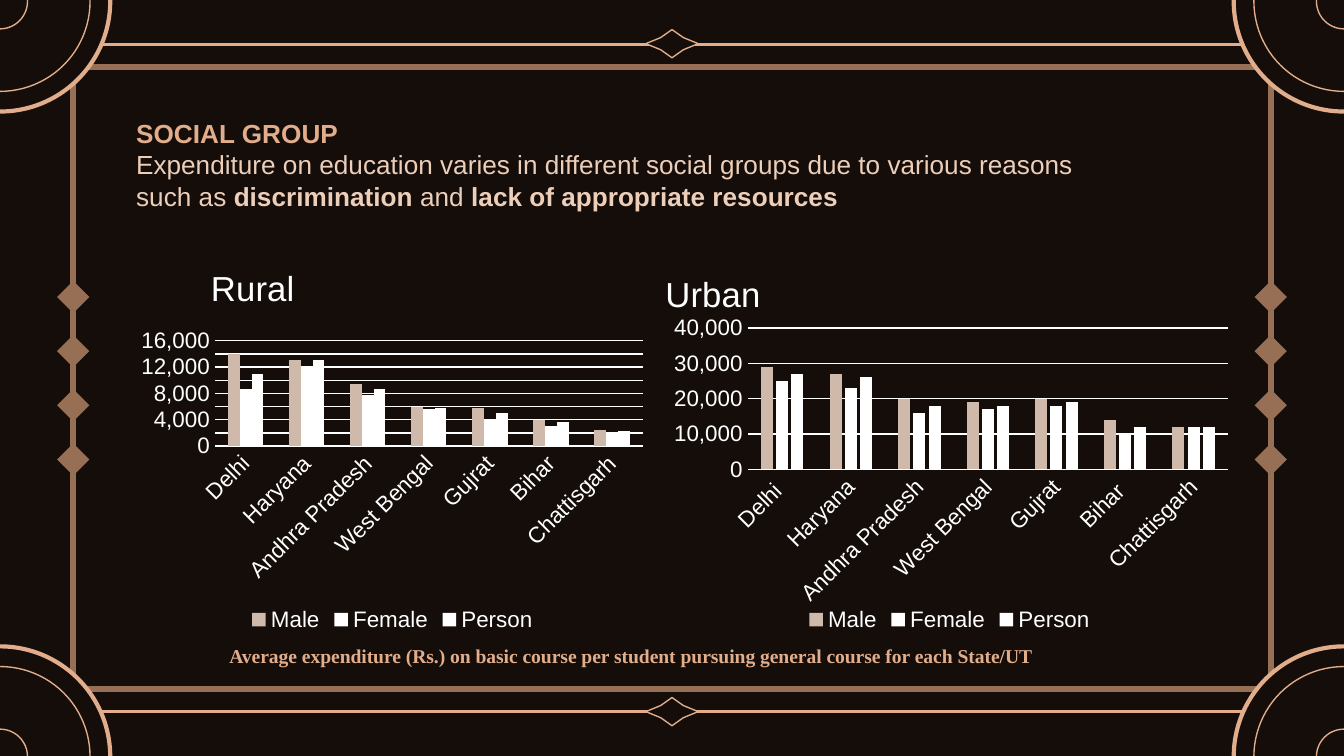
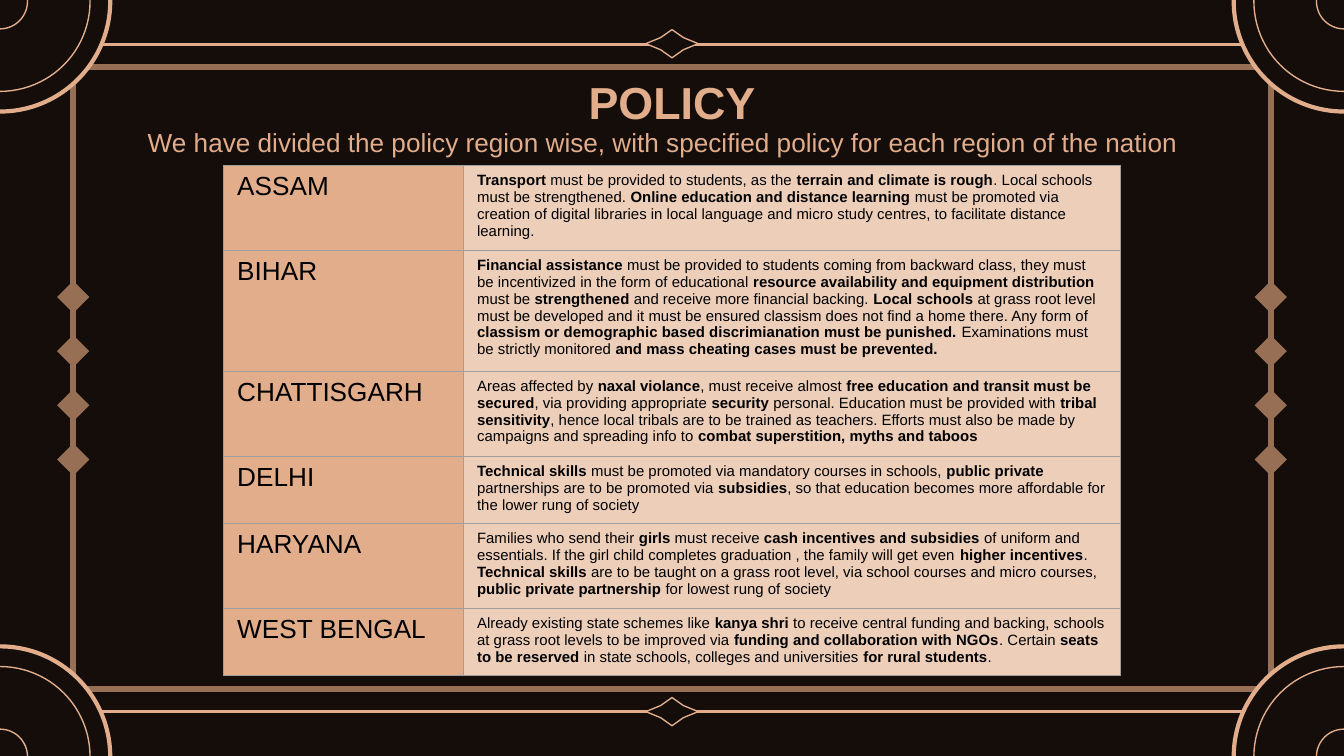
from dataclasses import dataclass
from itertools import product
from typing import NamedTuple, Optional

from lxml.etree import SubElement
from pptx import Presentation
from pptx.chart.data import CategoryChartData as ChartData
from pptx.dml.color import RGBColor as RGB
from pptx.enum.chart import XL_CHART_TYPE as Kind
from pptx.enum.chart import XL_LEGEND_POSITION as Legend
from pptx.enum.chart import XL_TICK_MARK as Tick
from pptx.enum.shapes import MSO_CONNECTOR as Link
from pptx.enum.shapes import MSO_SHAPE as Form
from pptx.enum.text import MSO_ANCHOR as Anchor
from pptx.enum.text import MSO_AUTO_SIZE as Fit
from pptx.enum.text import PP_ALIGN as Align
from pptx.oxml import parse_xml
from pptx.oxml.ns import nsdecls, qn
from pptx.util import Emu, Inches, Pt

# The slide is a grid of 100 columns and 56.25 rows of square cells.
WIDTH, HEIGHT = Inches(10), Inches(5.625)
CELL = WIDTH / 100


@dataclass(frozen=True)
class Theme:
    dark: str = "140D0A"
    peach: str = "E1AD8B"
    cream: str = "EDCEB9"
    brown: str = "966F55"
    sand: str = "CFB9AB"
    white: str = "FFFFFF"
    black: str = "000000"
    rule: str = "9E9E9E"
    sans: str = "Arial"
    serif: str = "Times New Roman"
    title: float = 24
    head: float = 18.6
    lead: float = 14
    label: float = 12
    note: float = 10.5
    small: float = 8


T = Theme()


class Box(NamedTuple):
    x: float
    y: float
    w: float
    h: float

    def emu(self) -> list[Emu]:
        return [cells(n) for n in self]


class Style(NamedTuple):
    size: float
    color: str
    bold: bool = False
    font: str = T.sans


class Rail(NamedTuple):
    x1: float
    y1: float
    x2: float
    y2: float
    color: str
    width: float


class Ring(NamedTuple):
    size: float
    width: float
    fill: Optional[str]


class Graph(NamedTuple):
    name: str
    box: Box
    head: tuple[float, float]   # shares of the chart
    plot: tuple[float, float, float, float]
    top: int
    step: int
    overlap: int
    states: list[str]
    data: dict[str, list[int]]


class Region(NamedTuple):
    name: str
    lines: int
    plan: str   # bold between asterisks


RAILS = [
    Rail(7.5, 3.3, 92.5, 3.3, T.peach, 1.5),
    Rail(6.3, 5, 93.7, 5, T.brown, 3),
    Rail(6.3, 51.25, 93.7, 51.25, T.brown, 3),
    Rail(94.55, 6, 94.55, 50.3, T.brown, 3),
    Rail(5.45, 6, 5.45, 50.3, T.brown, 3),
    Rail(7.5, 52.93, 92.5, 52.93, T.peach, 1.5),
]
RINGS = [Ring(16.4, 2.25, T.dark), Ring(13.4, 0.75, None), Ring(4.1, 0.75, T.dark)]

STATES = ["Delhi", "Haryana", "Andhra Pradesh", "West Bengal", "Gujrat", "Bihar", "Chattisgarh"]
SPACED = [f"{name} " if name in ("Delhi", "Bihar") else name for name in STATES]
TINTS = [T.sand, T.white, T.white]
GRAPHS = [
    Graph("Rural", Box(9.8, 18.4, 38.8, 29), (0.14, 0.03), (0.16, 0.24, 0.82, 0.27),
          16000, 2000, 0, STATES, {
              "Male": [14000, 13000, 9500, 6000, 5800, 4000, 2500],
              "Female": [8700, 12000, 7700, 5600, 4100, 3000, 2100],
              "Person": [11000, 13000, 8700, 5800, 5000, 3600, 2300]}),
    Graph("Urban", Box(48.6, 19.7, 44.1, 27.7), (0.01, 0), (0.16, 0.17, 0.81, 0.38),
          40000, 10000, -27, SPACED, {
              "Male": [29000, 27000, 20000, 19000, 20000, 14000, 12000],
              "Female": [25000, 23000, 16000, 17000, 18000, 10000, 12000],
              "Person": [27000, 26000, 18000, 18000, 19000, 12000, 12000]}),
]

REGIONS = [
    Region("ASSAM", 4, "*Transport* must be provided to students, as the *terrain and climate is rough*. "
           "Local schools must be strengthened. *Online education and distance learning *must be promoted "
           "via creation of digital libraries in local language and micro study centres, to facilitate "
           "distance learning."),
    Region("BIHAR", 6, "*Financial assistance *must be provided to students coming from backward class, they "
           "must be incentivized in the form of educational *resource availability and equipment "
           "distribution *must be *strengthened* and receive more financial backing. *Local schools *at "
           "grass root level must be developed and it must be ensured classism does not find a home there. "
           "Any form of *classism or demographic based discrimianation must be punished. *Examinations "
           "must be strictly monitored *and mass cheating cases must be prevented.*"),
    Region("CHATTISGARH", 4, "Areas affected by *naxal violance*, must receive almost *free education and "
           "transit must be secured*, via providing appropriate *security *personal. Education must be "
           "provided with *tribal sensitivity*, hence local tribals are to be trained as teachers. Efforts "
           "must also be made by campaigns and spreading info to *combat superstition, myths and taboos*"),
    Region("DELHI", 3, "*Technical skills *must be promoted via mandatory courses in schools, *public "
           "private *partnerships are to be promoted via *subsidies*, so that education becomes more "
           "affordable for the lower rung of society"),
    Region("HARYANA", 4, "Families who send their *girls* must receive *cash incentives and subsidies *of "
           "uniform and essentials. If the girl child completes graduation , the family will get even "
           "*higher incentives*. *Technical skills *are to be taught on a grass root level, via school "
           "courses and micro courses, *public private partnership *for lowest rung of society"),
    Region("WEST BENGAL", 3, "Already existing state schemes like *kanya shri *to receive central funding "
           "and backing, schools at grass root levels to be improved via *funding and collaboration with "
           "NGOs*. Certain *seats to be reserved *in state schools, colleges and universities* for rural "
           "students*."),
]


def cells(n: float) -> Emu:
    return Emu(round(n * CELL))


def dress(font, style: Style) -> None:
    font.size, font.bold, font.name = Pt(style.size), style.bold, style.font
    font.color.rgb = RGB.from_string(style.color)


def write(para, text: str, style: Style) -> None:
    """Fill a paragraph; asterisks switch bold on and off."""
    for i, part in enumerate(text.split("*")):
        if part:
            run = para.add_run()
            run.text = part
            dress(run.font, style._replace(bold=style.bold or i % 2 == 1))


def block(shape, box: Box, paras: list[tuple[str, Style]], align=Align.LEFT) -> None:
    """Place a text shape and fill it."""
    shape.left, shape.top, shape.width, shape.height = box.emu()
    frame = shape.text_frame
    frame.word_wrap, frame.vertical_anchor = True, Anchor.TOP
    frame.auto_size = Fit.SHAPE_TO_FIT_TEXT
    for i, (text, style) in enumerate(paras):
        para = frame.add_paragraph() if i else frame.paragraphs[0]
        para.alignment = align
        write(para, text, style)


def note(slide, box: Box, text: str, style: Style) -> None:
    block(slide.shapes.add_textbox(*box.emu()), box, [(text, style)])


def mark(slide, form, mid: tuple[float, float], size: tuple[float, float],
         fill: Optional[str], line: Optional[str] = None, width: float = 0.75):
    """Draw a preset shape around its centre."""
    box = Box(mid[0] - size[0] / 2, mid[1] - size[1] / 2, *size)
    shape = slide.shapes.add_shape(form, *box.emu())
    shape.shadow.inherit = False
    if fill:
        shape.fill.solid()
        shape.fill.fore_color.rgb = RGB.from_string(fill)
    else:
        shape.fill.background()
    if line:
        shape.line.color.rgb, shape.line.width = RGB.from_string(line), Pt(width)
    else:
        shape.line.fill.background()
    return shape


def frame(slide) -> None:
    for rail in RAILS:
        link = slide.shapes.add_connector(Link.STRAIGHT, *[cells(n) for n in rail[:4]])
        link.line.color.rgb, link.line.width = RGB.from_string(rail.color), Pt(rail.width)
        SubElement(link.element.spPr, qn("a:effectLst"))
    for y, x, ring in product((0.1, 56.3), (0, 100), RINGS):
        mark(slide, Form.OVAL, (x, y), (ring.size, ring.size), ring.fill, T.peach, ring.width)
    for x, row in product((5.45, 94.55), range(4)):
        mark(slide, Form.DIAMOND, (x, 22.1 + 4.03 * row), (2.4, 2.4), T.brown)
    for y in (3.25, 52.95):
        star = mark(slide, Form.STAR_4_POINT, (50, y), (3.9, 2.1), T.dark, T.peach)
        star.adjustments[0] = 0.305


def share(slide, layout) -> None:
    """Draw the frame once and hand it to the layout."""
    for spare in list(layout.placeholders):
        if spare.placeholder_format.idx:
            layout.shapes.element.remove(spare.element)
    frame(slide)
    for shape in list(slide.shapes):
        if not shape.is_placeholder:
            layout.shapes.element.append(shape.element)


def pin(parent, index: int, spots: dict[str, float], inner: bool = False) -> None:
    """Give a chart part a fixed place."""
    for old in parent.findall(qn("c:layout")):
        parent.remove(old)
    layout = parse_xml(f"<c:layout {nsdecls('c')}><c:manualLayout/></c:layout>")
    marks = {"layoutTarget": "inner"} if inner else {}
    marks |= {"xMode": "edge", "yMode": "edge"} | spots
    for tag, val in marks.items():
        SubElement(layout[0], qn(f"c:{tag}")).set("val", str(val))
    parent.insert(index, layout)


def graph(slide, item: Graph) -> None:
    data = ChartData(number_format="#,##0")
    data.categories = item.states
    for name, vals in item.data.items():
        data.add_series(name, vals)
    chart = slide.shapes.add_chart(Kind.COLUMN_CLUSTERED, *item.box.emu(), data).chart
    label, white = Style(T.label, T.white), RGB.from_string(T.white)
    dress(chart.font, label)

    chart.has_title = True
    title = chart.chart_title
    title.text_frame.text = item.name
    dress(title.text_frame.paragraphs[0].runs[0].font, Style(T.head, T.white))
    pin(title.element, 1, dict(zip("xy", item.head)))
    pin(chart.element.find(".//" + qn("c:plotArea")), 0, dict(zip("xywh", item.plot)), True)

    chart.has_legend = True
    chart.legend.position, chart.legend.include_in_layout = Legend.BOTTOM, False
    dress(chart.legend.font, label)

    plot = chart.plots[0]
    plot.gap_width, plot.overlap, plot.vary_by_categories = 219, item.overlap, False
    for series, tint in zip(plot.series, TINTS):
        series.format.fill.solid()
        series.format.fill.fore_color.rgb = RGB.from_string(tint)

    cat, val = chart.category_axis, chart.value_axis
    for axis in (cat, val):
        axis.major_tick_mark = axis.minor_tick_mark = Tick.NONE
        dress(axis.tick_labels.font, label)
    val.minimum_scale, val.maximum_scale, val.major_unit = 0, item.top, item.step
    val.tick_labels.number_format, val.tick_labels.number_format_is_linked = "#,##0", False
    val.format.line.fill.background()
    for line in (cat.format.line, val.major_gridlines.format.line):
        line.color.rgb, line.width = white, Pt(0.75)
    slant = chart.element.find(f".//{qn('c:catAx')}/{qn('c:txPr')}/{qn('a:bodyPr')}")
    slant.set("rot", "-2700000")


def grid(slide, box: Box) -> None:
    shape = slide.shapes.add_table(len(REGIONS), 2, *box.emu())
    table = shape.table
    table.first_row = table.horz_banding = False
    for col, width in zip(table.columns, (17.85, 48.85)):
        col.width = cells(width)
    for row, region in zip(table.rows, REGIONS):
        row.height = cells(0.9 + 1.3 * region.lines)
        looks = ((region.name, T.lead, T.peach), (region.plan, T.small, T.cream))
        for cell, (text, size, fill) in zip(row.cells, looks):
            cell.fill.solid()
            cell.fill.fore_color.rgb = RGB.from_string(fill)
            write(cell.text_frame.paragraphs[0], text, Style(size, T.black))
    for props in shape.element.iter(qn("a:tcPr")):
        for i, side in enumerate("LRTB"):
            props.insert(i, parse_xml(
                f'<a:ln{side} {nsdecls("a")} w="9525"><a:solidFill>'
                f'<a:srgbClr val="{T.rule}"/></a:solidFill></a:ln{side}>'))


def main() -> None:
    deck = Presentation()
    deck.slide_width, deck.slide_height = WIDTH, HEIGHT
    back = deck.slide_master.background.fill
    back.solid()
    back.fore_color.rgb = RGB.from_string(T.dark)
    layout = deck.slide_layouts[5]
    social, policy = [deck.slides.add_slide(layout) for _ in range(2)]
    share(social, layout)

    block(social.shapes.title, Box(9.13, 8.22, 75.8, 8.1), [
        ("SOCIAL GROUP", Style(T.lead, T.peach, True)),
        ("Expenditure on education varies in different social groups due to various reasons such as "
         "*discrimination* and *lack of appropriate resources*", Style(T.lead, T.cream))])
    for item in GRAPHS:
        graph(social, item)
    note(social, Box(15.8, 47.4, 68.4, 2.8),
         " Average expenditure (Rs.) on basic course per student pursuing general course for each State/UT",
         Style(T.note, T.peach, True, T.serif))

    block(policy.shapes.title, Box(15.25, 5.05, 69.5, 5),
          [("POLICY", Style(T.title, T.peach, True))], Align.CENTER)
    note(policy, Box(10, 8.9, 80.1, 3.4),
         "We have divided the policy region wise, with specified policy for each region of the nation",
         Style(T.lead, T.peach))
    grid(policy, Box(16.65, 12.3, 66.7, 38))
    deck.save("out.pptx")


if __name__ == "__main__":
    main()
